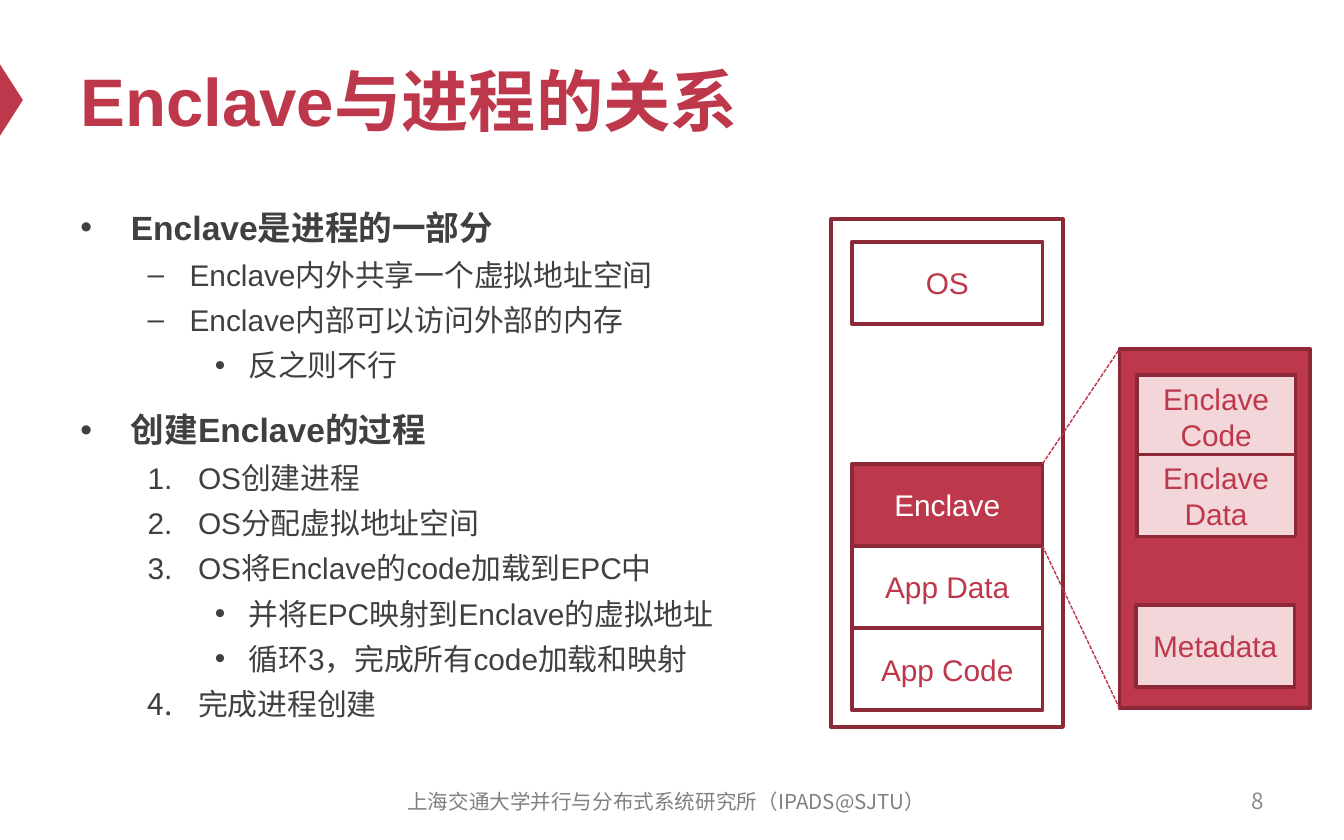
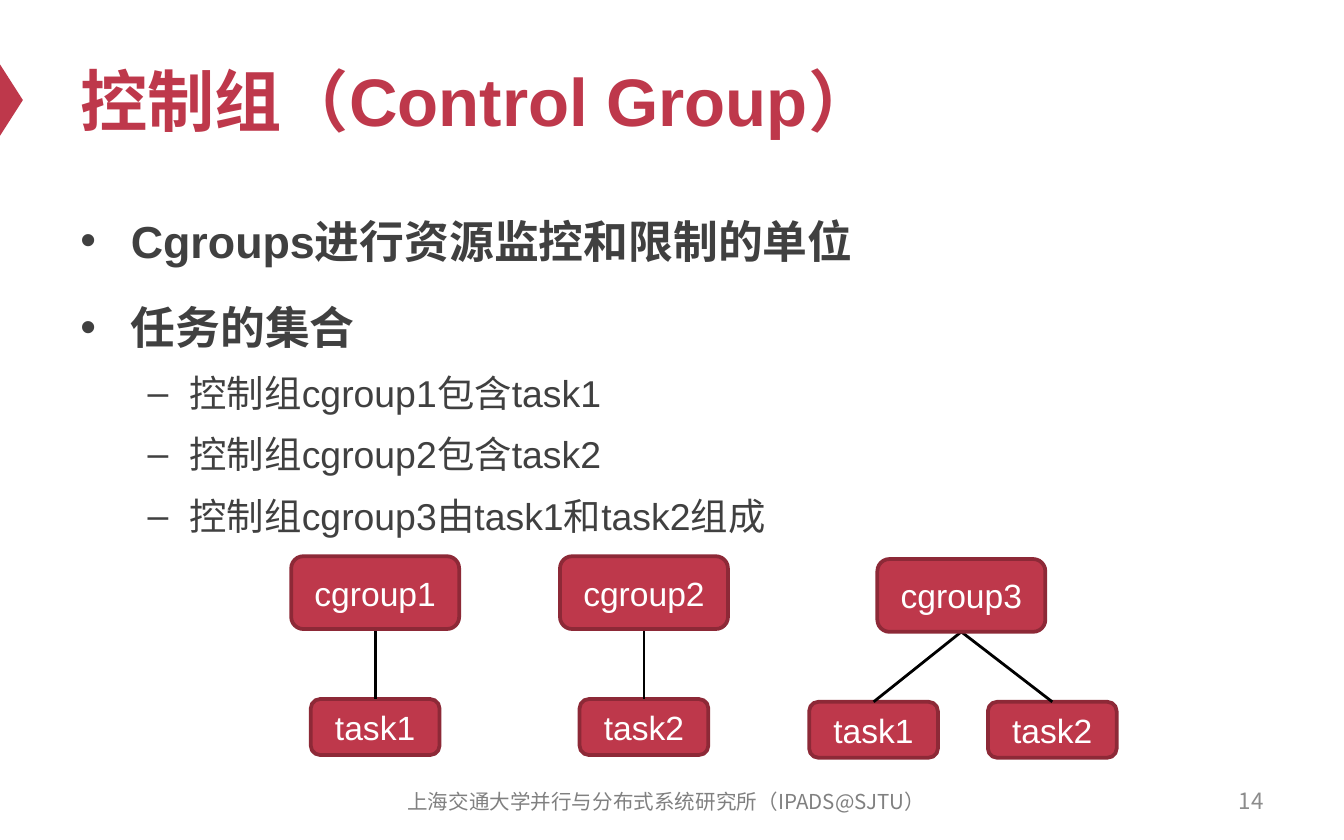
import dataclasses
import typing

import lxml.etree
import pptx
import pptx.dml.color
import pptx.enum.dml
import pptx.enum.shapes
import pptx.enum.text
import pptx.oxml.ns
import pptx.util

Pt = pptx.util.Pt
RGBColor = pptx.dml.color.RGBColor
Shapes = pptx.enum.shapes.MSO_SHAPE
Align = pptx.enum.text.PP_ALIGN
Anchor = pptx.enum.text.MSO_ANCHOR
qn = pptx.oxml.ns.qn

CRIMSON = RGBColor(0xBE, 0x38, 0x4B)
DARK_CRIMSON = RGBColor(0x8D, 0x29, 0x37)
DASH_CRIMSON = RGBColor(0xBD, 0x33, 0x47)
PINK = RGBColor(0xF3, 0xD6, 0xDA)
WHITE = RGBColor(0xFF, 0xFF, 0xFF)
BLACK = RGBColor(0x00, 0x00, 0x00)
BODY_GRAY = RGBColor(0x40, 0x40, 0x40)
FOOTER_GRAY = RGBColor(0x80, 0x80, 0x80)
NUMBER_GRAY = RGBColor(0x8C, 0x8C, 0x8C)
LATIN_FONT = "Arial"
CHINESE_FONT = "Noto Sans CJK SC"
FOOTER = "上海交通大学并行与分布式系统研究所（IPADS@SJTU）"


@dataclasses.dataclass(frozen=True)
class Area:
    left: float
    top: float
    width: float
    height: float

    def lengths(self) -> tuple:
        return tuple(Pt(value) for value in dataclasses.astuple(self))


@dataclasses.dataclass(frozen=True)
class TextStyle:
    size: float
    color: RGBColor
    bold: bool = False
    font: str = LATIN_FONT


@dataclasses.dataclass(frozen=True)
class ListStyle:
    level: int
    margin: float
    hanging: float
    bullet: str = ""


@dataclasses.dataclass(frozen=True)
class Block:
    label: str
    area: Area
    fill: typing.Optional[RGBColor] = None
    color: RGBColor = CRIMSON


@dataclasses.dataclass(frozen=True)
class ControlGroup:
    name: str
    center: float
    top: float
    tasks: tuple


TITLE = TextStyle(36, CRIMSON, bold=True)
HEAD = ListStyle(0, 27, 27, "•")
DASH = ListStyle(1, 58.5, 22.5, "–")
STEP = ListStyle(1, 63, 27)
DETAIL = ListStyle(2, 90, 18, "•")

ENCLAVE_LINES = [
    (HEAD, "Enclave是进程的一部分"),
    (DASH, "Enclave内外共享一个虚拟地址空间"),
    (DASH, "Enclave内部可以访问外部的内存"),
    (DETAIL, "反之则不行"),
    (HEAD, "创建Enclave的过程"),
    (STEP, "OS创建进程"),
    (STEP, "OS分配虚拟地址空间"),
    (STEP, "OS将Enclave的code加载到EPC中"),
    (DETAIL, "并将EPC映射到Enclave的虚拟地址"),
    (DETAIL, "循环3，完成所有code加载和映射"),
    (STEP, "完成进程创建"),
]
CGROUP_LINES = [
    (HEAD, "Cgroups进行资源监控和限制的单位"),
    (HEAD, "任务的集合"),
    (DASH, "控制组cgroup1包含task1"),
    (DASH, "控制组cgroup2包含task2"),
    (DASH, "控制组cgroup3由task1和task2组成"),
]

MEMORY_LEFT, MEMORY_WIDTH, BLOCK_HEIGHT = 456.5, 102, 44
ENCLAVE_TOP = 248.5
PROCESS = Area(445, 117.5, 124.5, 272)
ENCLAVE_PANEL = Area(599.75, 187, 102.25, 192.5)


def memory_area(top: float) -> Area:
    return Area(MEMORY_LEFT, top, MEMORY_WIDTH, BLOCK_HEIGHT)


def part_area(left: float, top: float) -> Area:
    return Area(left, top, 85, BLOCK_HEIGHT)


PROCESS_BLOCKS = [
    Block("", PROCESS),
    Block("OS", memory_area(129.5)),
    Block("Enclave", memory_area(ENCLAVE_TOP), CRIMSON, WHITE),
    Block("App Data", memory_area(ENCLAVE_TOP + BLOCK_HEIGHT)),
    Block("App Code", memory_area(ENCLAVE_TOP + 2 * BLOCK_HEIGHT)),
    Block("", ENCLAVE_PANEL, CRIMSON),
]
ENCLAVE_PARTS = [
    Block("Enclave\nCode", part_area(609, 201), PINK),
    Block("Enclave\nData", part_area(609, 243.5), PINK),
    Block("Metadata", part_area(608.5, 324), PINK),
]

GROUP_SIZE = (90, 39)
TASK_SIZE = (69, 30)
TASK_DROP = 76.5
GROUPS = [
    ControlGroup("cgroup1", 201, 298, (("task1", 201),)),
    ControlGroup("cgroup2", 345, 298, (("task2", 345),)),
    ControlGroup("cgroup3", 515, 299.5, (("task1", 468), ("task2", 563.75))),
]


def style_runs(para, style: TextStyle) -> None:
    for span in para.runs:
        span.font.size = Pt(style.size)
        span.font.bold = style.bold
        span.font.color.rgb = style.color
        span.font.name = style.font
        east_asian = lxml.etree.SubElement(span.font._element, qn("a:ea"))
        east_asian.set("typeface", CHINESE_FONT)


def fill_text(frame, text: str, style: TextStyle, align: Align) -> None:
    frame.word_wrap = True
    frame.vertical_anchor = Anchor.MIDDLE
    frame.text = text
    for para in frame.paragraphs:
        para.alignment = align
        style_runs(para, style)


def add_text(page, area: Area, text: str, style: TextStyle, align: Align) -> None:
    box = page.shapes.add_textbox(*area.lengths())
    fill_text(box.text_frame, text, style, align)


def add_body(page, area: Area, lines: list, head_size: float, line_spacing: float) -> None:
    frame = page.shapes.add_textbox(*area.lengths()).text_frame
    frame.word_wrap = True
    frame.text = "\n".join(text for _, text in lines)
    for index, (para, (item, _)) in enumerate(zip(frame.paragraphs, lines)):
        is_head = item.level == 0
        size = head_size if is_head else 16 if head_size == 18 else 20
        set_bullet(para, item)
        para.line_spacing = line_spacing
        if index:
            para.space_before = Pt(12 if is_head else 0.2 * size)
        style_runs(para, TextStyle(size, BODY_GRAY, is_head))


def set_bullet(para, item: ListStyle) -> None:
    para.level = item.level
    properties = para._p.get_or_add_pPr()
    properties.set("marL", str(Pt(item.margin)))
    properties.set("indent", str(-Pt(item.hanging)))
    lxml.etree.SubElement(properties, qn("a:buFont")).set("typeface", LATIN_FONT)
    if item.bullet:
        lxml.etree.SubElement(properties, qn("a:buChar")).set("char", item.bullet)
    else:
        lxml.etree.SubElement(properties, qn("a:buAutoNum")).set("type", "arabicPeriod")


def add_block(page, block: Block, size: float, kind: Shapes = Shapes.RECTANGLE) -> None:
    shape = page.shapes.add_shape(kind, *block.area.lengths())
    shape.shadow.inherit = False
    if block.fill is None:
        shape.fill.background()
    else:
        shape.fill.solid()
        shape.fill.fore_color.rgb = block.fill
    shape.line.color.rgb = DARK_CRIMSON
    shape.line.width = Pt(2)
    if block.label:
        fill_text(shape.text_frame, block.label, TextStyle(size, block.color), Align.CENTER)


def add_line(page, start: tuple, end: tuple, color: RGBColor, width: float, dash=None) -> None:
    points = [Pt(value) for value in (*start, *end)]
    line = page.shapes.add_connector(pptx.enum.shapes.MSO_CONNECTOR.STRAIGHT, *points)
    line.line.color.rgb = color
    line.line.width = Pt(width)
    if dash is not None:
        line.line.dash_style = dash
    lxml.etree.SubElement(line._element.spPr, qn("a:effectLst"))


def add_page(deck, title: str, number: int):
    page = deck.slides.add_slide(deck.slide_layouts[6])
    marker = page.shapes.add_shape(
        Shapes.ISOSCELES_TRIANGLE, *Area(-13, 47.5, 38.25, 12.25).lengths()
    )
    marker.rotation = 90
    marker.shadow.inherit = False
    marker.fill.solid()
    marker.fill.fore_color.rgb = CRIMSON
    marker.line.fill.background()
    add_text(page, Area(36, 18, 648, 70.5), title, TITLE, Align.LEFT)
    number_style = TextStyle(12, NUMBER_GRAY, font=CHINESE_FONT)
    footer_style = TextStyle(11, FOOTER_GRAY, font=CHINESE_FONT)
    add_text(page, Area(516, 417, 168, 24), str(number), number_style, Align.RIGHT)
    add_text(page, Area(201, 417.5, 312, 24), FOOTER, footer_style, Align.CENTER)
    return page


def add_enclave_page(deck) -> None:
    page = add_page(deck, "Enclave与进程的关系", 8)
    add_body(page, Area(36, 105, 386.5, 307.5), ENCLAVE_LINES, 18, 1.1)
    for block in PROCESS_BLOCKS:
        add_block(page, block, 16)
    panel_bottom = ENCLAVE_PANEL.top + ENCLAVE_PANEL.height
    corners = [
        (ENCLAVE_TOP, ENCLAVE_PANEL.top),
        (ENCLAVE_TOP + BLOCK_HEIGHT, panel_bottom),
    ]
    for start, end in corners:
        add_line(
            page,
            (MEMORY_LEFT + MEMORY_WIDTH, start),
            (ENCLAVE_PANEL.left, end),
            DASH_CRIMSON,
            0.75,
            pptx.enum.dml.MSO_LINE.SQUARE_DOT,
        )
    for block in ENCLAVE_PARTS:
        add_block(page, block, 16)


def add_node(page, label: str, center: float, top: float, size: tuple) -> None:
    width, height = size
    area = Area(center - width / 2, top, width, height)
    add_block(page, Block(label, area, CRIMSON, WHITE), 18, Shapes.ROUNDED_RECTANGLE)


def add_cgroup_page(deck) -> None:
    page = add_page(deck, "控制组（Control Group）", 14)
    add_body(page, Area(36, 105, 648, 296.5), CGROUP_LINES, 24, 1.2)
    for group in GROUPS:
        task_top = group.top + TASK_DROP
        for task, center in group.tasks:
            add_node(page, task, center, task_top, TASK_SIZE)
            start = (group.center, group.top + GROUP_SIZE[1])
            add_line(page, start, (center, task_top), BLACK, 1.5)
        add_node(page, group.name, group.center, group.top, GROUP_SIZE)


def main() -> None:
    deck = pptx.Presentation()
    deck.slide_width = Pt(720)
    deck.slide_height = Pt(450)
    add_enclave_page(deck)
    add_cgroup_page(deck)
    deck.save("out.pptx")


if __name__ == "__main__":
    main()
